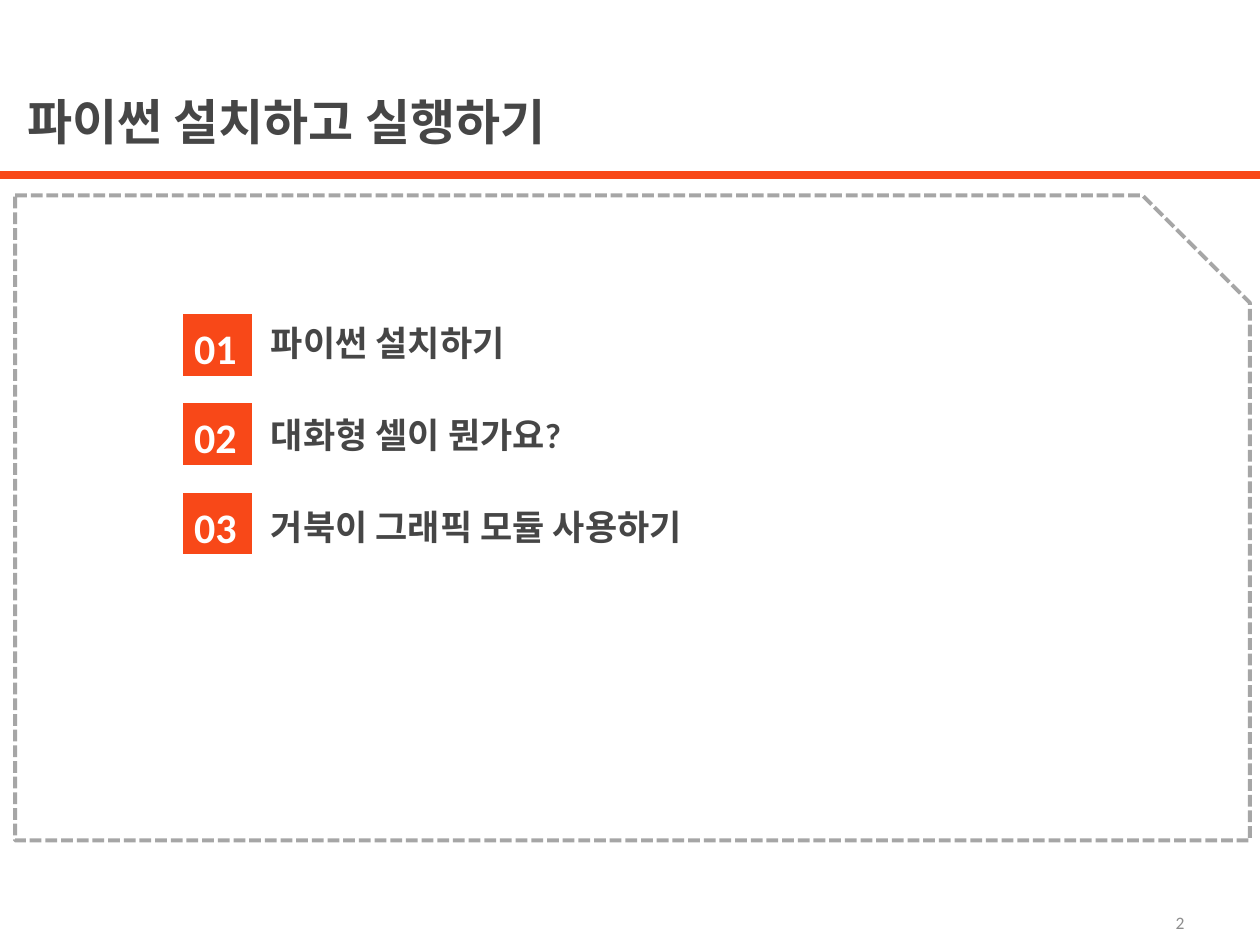
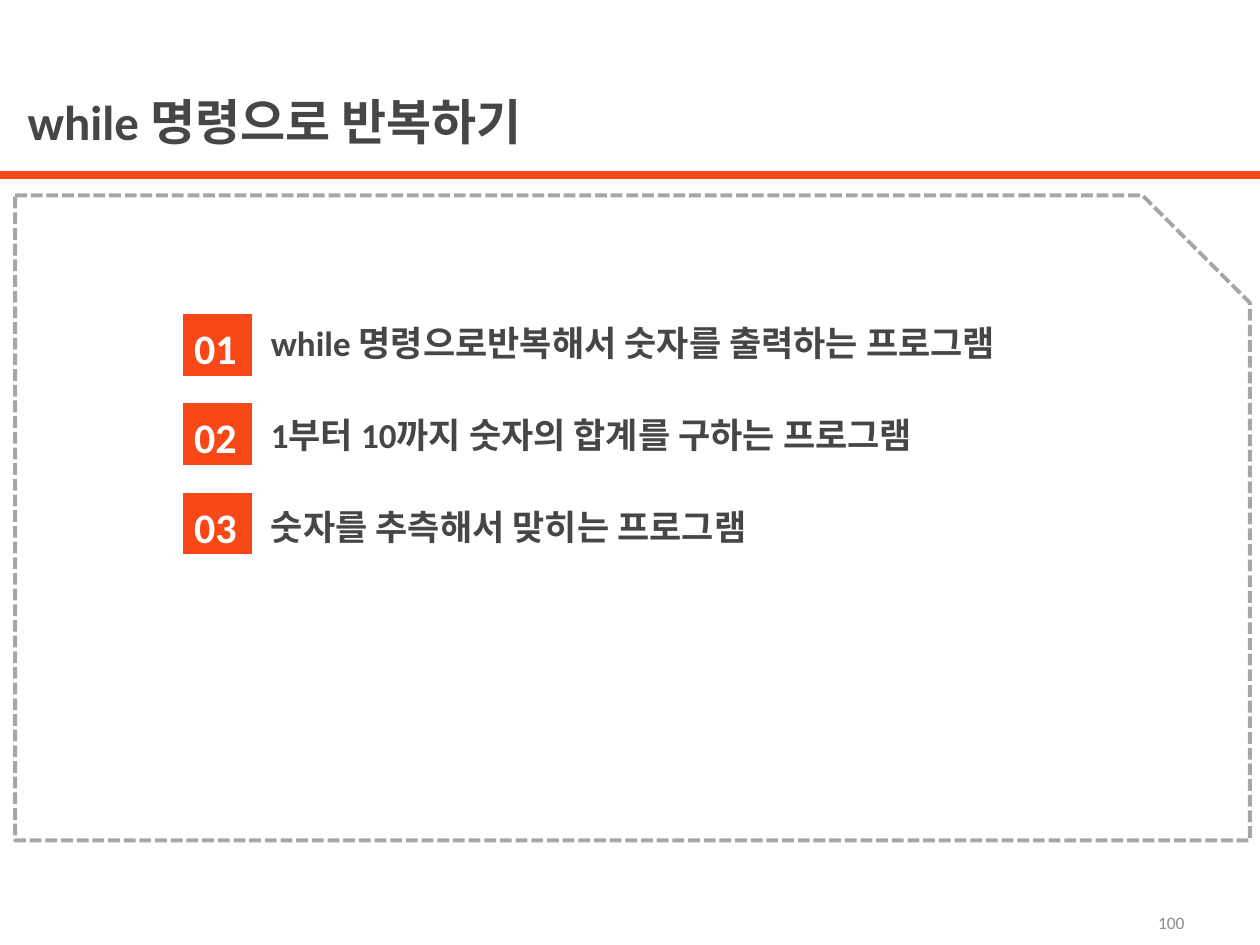
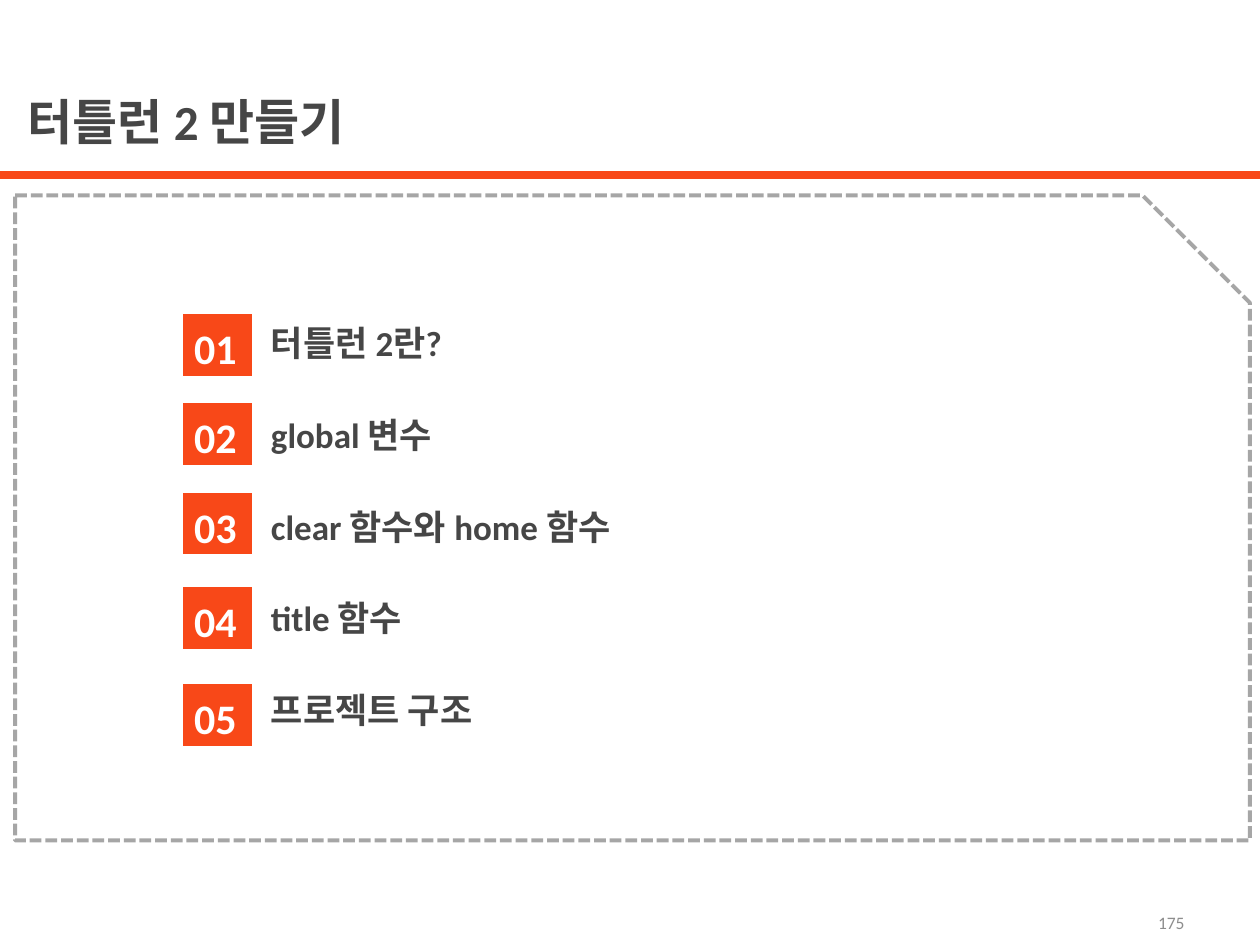
from dataclasses import dataclass

from lxml import etree
from pptx import Presentation
from pptx import util as u
from pptx.dml.color import RGBColor
from pptx.enum import dml, shapes, text
from pptx.oxml.ns import qn


@dataclass(frozen=True)
class Theme:
    font: str = "Calibri"
    accent: RGBColor = RGBColor(0xF8, 0x48, 0x18)
    ink: RGBColor = RGBColor(0x46, 0x46, 0x46)
    frame: RGBColor = RGBColor(0xA6, 0xA6, 0xA6)
    page: RGBColor = RGBColor(0x8D, 0x8D, 0x8D)
    white: RGBColor = RGBColor(0xFF, 0xFF, 0xFF)
    title_size: int = 28
    badge_size: int = 24
    item_size: int = 20
    page_size: int = 10


THEME = Theme()
BADGE_TOPS = (2.49, 3.2, 3.91, 4.66, 5.43)

CHAPTERS = [
    ("파이썬 설치하고 실행하기", 2,
     ["파이썬 설치하기", "대화형 셀이 뭔가요?", "거북이 그래픽 모듈 사용하기"]),
    ("while 명령으로 반복하기", 100,
     ["while 명령으로반복해서 숫자를 출력하는 프로그램",
      "1부터 10까지 숫자의 합계를 구하는 프로그램",
      "숫자를 추측해서 맞히는 프로그램"]),
    ("터틀런 2 만들기", 175,
     ["터틀런 2란?", "global 변수", "clear 함수와 home 함수", "title 함수",
      "프로젝트 구조"]),
]


def box(left, top, width, height):
    return [u.Inches(v) for v in (left, top, width, height)]


def place(sp, left, top, width, height):
    sp.left, sp.top, sp.width, sp.height = box(left, top, width, height)


def set_up_frame(sp, anchor=text.MSO_ANCHOR.TOP):
    tf = sp.text_frame
    tf.word_wrap = True
    tf.auto_size = text.MSO_AUTO_SIZE.NONE
    tf.vertical_anchor = anchor
    return tf


def write(p, words, size, color, bold=True, align=text.PP_ALIGN.LEFT):
    p.alignment = align
    r = p.add_run()
    r.text = words
    r.font.name = THEME.font
    r.font.size = u.Pt(size)
    r.font.bold = bold
    r.font.color.rgb = color


def add_title(s, words):
    sp = s.shapes.title
    place(sp, 0.12, 0.68, 9.45, 0.57)
    write(set_up_frame(sp).paragraphs[0], words, THEME.title_size, THEME.ink)


def add_rule(s):
    line = s.shapes.add_connector(shapes.MSO_CONNECTOR.STRAIGHT,
                                  *box(0, 1.39, 10, 1.39))
    line.line.color.rgb = THEME.accent
    line.line.width = u.Pt(4.5)
    sp_pr = line._element.find(qn("p:spPr"))
    etree.SubElement(sp_pr, qn("a:effectLst"))


def add_dashed_frame(s):
    sp = s.shapes.add_shape(shapes.MSO_SHAPE.SNIP_1_RECTANGLE,
                            *box(0.12, 1.55, 9.8, 5.12))
    sp.shadow.inherit = False
    sp.fill.background()
    sp.line.color.rgb = THEME.frame
    sp.line.width = u.Pt(2.25)
    sp.line.dash_style = dml.MSO_LINE.SQUARE_DOT


def add_badge(s, number, top):
    group = s.shapes.add_group_shape()
    square = group.shapes.add_shape(shapes.MSO_SHAPE.FLOWCHART_PROCESS,
                                    *box(1.45, top, 0.55, 0.49))
    square.shadow.inherit = False
    square.fill.solid()
    square.fill.fore_color.rgb = THEME.accent
    square.line.fill.background()
    label = group.shapes.add_textbox(*box(1.34, top + 0.02, 0.74, 0.5))
    write(set_up_frame(label).paragraphs[0], f"{number:02d}", THEME.badge_size,
          THEME.white, align=text.PP_ALIGN.CENTER)


def add_items(s, items):
    sp = s.placeholders[1]
    place(sp, 2.05, 2.47, 6.97, 0.74 * len(items) - 0.27)
    tf = set_up_frame(sp)
    for i, item in enumerate(items):
        p = tf.add_paragraph() if i else tf.paragraphs[0]
        p.line_spacing = 1.1
        p.space_before = u.Pt(26 if i else 0)
        p_pr = p._p.get_or_add_pPr()
        p_pr.set("marL", "0")
        p_pr.set("indent", "0")
        etree.SubElement(p_pr, qn("a:buNone"))
        write(p, item, THEME.item_size, THEME.ink)


def add_page_number(s, number):
    sp = s.shapes.add_textbox(*box(7.17, 7.16, 2.33, 0.32))
    tf = set_up_frame(sp, text.MSO_ANCHOR.MIDDLE)
    write(tf.paragraphs[0], str(number), THEME.page_size, THEME.page,
          bold=False, align=text.PP_ALIGN.RIGHT)


def add_chapter(prs, title, page, items):
    s = prs.slides.add_slide(prs.slide_layouts[1])
    add_page_number(s, page)
    add_title(s, title)
    add_rule(s)
    add_dashed_frame(s)
    add_items(s, items)
    for number, (top, _) in enumerate(zip(BADGE_TOPS, items), start=1):
        add_badge(s, number, top)


def main():
    prs = Presentation()
    prs.slide_width, prs.slide_height = u.Inches(10), u.Inches(7.5)
    for title, page, items in CHAPTERS:
        add_chapter(prs, title, page, items)
    prs.save("out.pptx")


if __name__ == "__main__":
    main()
